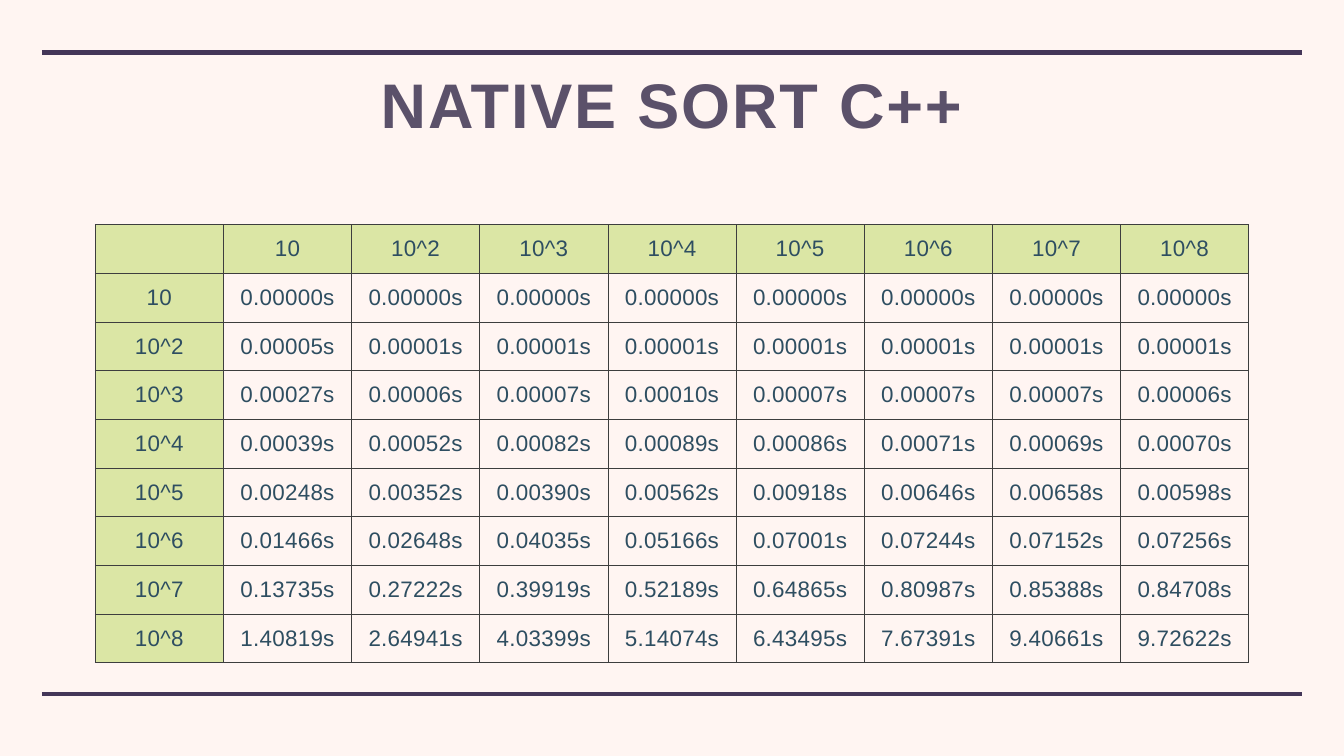
"""Build a slide with a table of native C++ sort timings."""
from pptx import Presentation
from pptx.dml.color import RGBColor
from pptx.enum import shapes, text
from pptx.oxml import parse_xml
from pptx.oxml import ns
from pptx.util import Pt

TITLE = "NATIVE SORT C++"
SIZES = ["10", "10^2", "10^3", "10^4", "10^5", "10^6", "10^7", "10^8"]
TIMINGS = [
    ["0.00000s"] * 8,
    ["0.00005s"] + ["0.00001s"] * 7,
    ["0.00027s", "0.00006s", "0.00007s", "0.00010s", "0.00007s", "0.00007s", "0.00007s", "0.00006s"],
    ["0.00039s", "0.00052s", "0.00082s", "0.00089s", "0.00086s", "0.00071s", "0.00069s", "0.00070s"],
    ["0.00248s", "0.00352s", "0.00390s", "0.00562s", "0.00918s", "0.00646s", "0.00658s", "0.00598s"],
    ["0.01466s", "0.02648s", "0.04035s", "0.05166s", "0.07001s", "0.07244s", "0.07152s", "0.07256s"],
    ["0.13735s", "0.27222s", "0.39919s", "0.52189s", "0.64865s", "0.80987s", "0.85388s", "0.84708s"],
    ["1.40819s", "2.64941s", "4.03399s", "5.14074s", "6.43495s", "7.67391s", "9.40661s", "9.72622s"],
]
ROWS = [[""] + SIZES] + [[size] + times for size, times in zip(SIZES, TIMINGS)]

BACKGROUND, RULE, HEADER, BORDER = "FFF5F2", "443658", "DBE6A5", "3D3E3E"
TITLE_COLOR, TABLE_COLOR = "5B516A", "2E4E61"
WIDTH, HEIGHT = 1920.24, 1080
RULE_LEFT, RULE_RIGHT, RULE_TOPS = 60, 1860, (75, 992)
TITLE_BOX = (164, 101, 1591, 130)
TABLE_LEFT, TABLE_TOP, COLUMN_WIDTH, ROW_HEIGHT = 136, 321, 183.12, 69.52
INSET = 4.5


def color(value):
    """Turn a hex string into a colour."""
    return RGBColor.from_string(value)


def paint(fill, value):
    """Give a fill one solid colour."""
    fill.solid()
    fill.fore_color.rgb = color(value)


def write(frame, content, size, hue, bold=False, tracking=0, line_spacing=1.0):
    """Write one centred paragraph into a text frame."""
    paragraph = frame.paragraphs[0]
    paragraph.alignment = text.PP_ALIGN.CENTER
    paragraph.line_spacing = line_spacing
    run = paragraph.add_run()
    run.text = content
    run.font.name = "Arial"
    run.font.size = Pt(size)
    run.font.bold = bold
    run.font.color.rgb = color(hue)
    run._r.get_or_add_rPr().set("spc", str(round(tracking * 100)))


def set_margins(target):
    """Set four equal insets on a text frame or a cell."""
    for side in ("left", "top", "right", "bottom"):
        setattr(target, f"margin_{side}", Pt(INSET))


def add_rule(slide, top):
    """Draw a horizontal rule across the slide."""
    rule = slide.shapes.add_connector(
        shapes.MSO_CONNECTOR.STRAIGHT, Pt(RULE_LEFT), Pt(top), Pt(RULE_RIGHT), Pt(top))
    rule.line.color.rgb = color(RULE)
    rule.line.width = Pt(6)
    rule._element.spPr.append(parse_xml(f"<a:effectLst {ns.nsdecls('a')}/>"))


def add_title(slide):
    """Add the slide title."""
    frame = slide.shapes.add_textbox(*map(Pt, TITLE_BOX)).text_frame
    frame.word_wrap = True
    frame.vertical_anchor = text.MSO_ANCHOR.TOP
    set_margins(frame)
    write(frame, TITLE, 90, TITLE_COLOR, bold=True, tracking=2.7, line_spacing=0.9)


def add_borders(cell):
    """Draw thin lines on all sides of a cell."""
    properties = cell._tc.get_or_add_tcPr()
    for side in "LRTB":
        properties.append(parse_xml(
            f'<a:ln{side} {ns.nsdecls("a")} w="{Pt(1)}"><a:solidFill>'
            f'<a:srgbClr val="{BORDER}"/></a:solidFill></a:ln{side}>'))


def add_timings(slide):
    """Add the timing table with a header row and column."""
    count, width = len(ROWS), len(ROWS[0])
    table = slide.shapes.add_table(
        count, width, Pt(TABLE_LEFT), Pt(TABLE_TOP),
        Pt(COLUMN_WIDTH * width), Pt(ROW_HEIGHT * count)).table
    table.first_row = table.horz_banding = False
    for column in table.columns:
        column.width = Pt(COLUMN_WIDTH)
    for y, values in enumerate(ROWS):
        table.rows[y].height = Pt(ROW_HEIGHT)
        for x, value in enumerate(values):
            cell = table.cell(y, x)
            cell.vertical_anchor = text.MSO_ANCHOR.MIDDLE
            set_margins(cell)
            add_borders(cell)
            if x == 0 or y == 0:
                paint(cell.fill, HEADER)
            else:
                cell.fill.background()
            if value:
                write(cell.text_frame, value, 32, TABLE_COLOR, tracking=0.4)


def main():
    """Build and save the presentation."""
    presentation = Presentation()
    presentation.slide_width, presentation.slide_height = Pt(WIDTH), Pt(HEIGHT)
    slide = presentation.slides.add_slide(presentation.slide_layouts[6])
    paint(slide.background.fill, BACKGROUND)
    for top in RULE_TOPS:
        add_rule(slide, top)
    add_title(slide)
    add_timings(slide)
    presentation.save("out.pptx")


if __name__ == "__main__":
    main()
